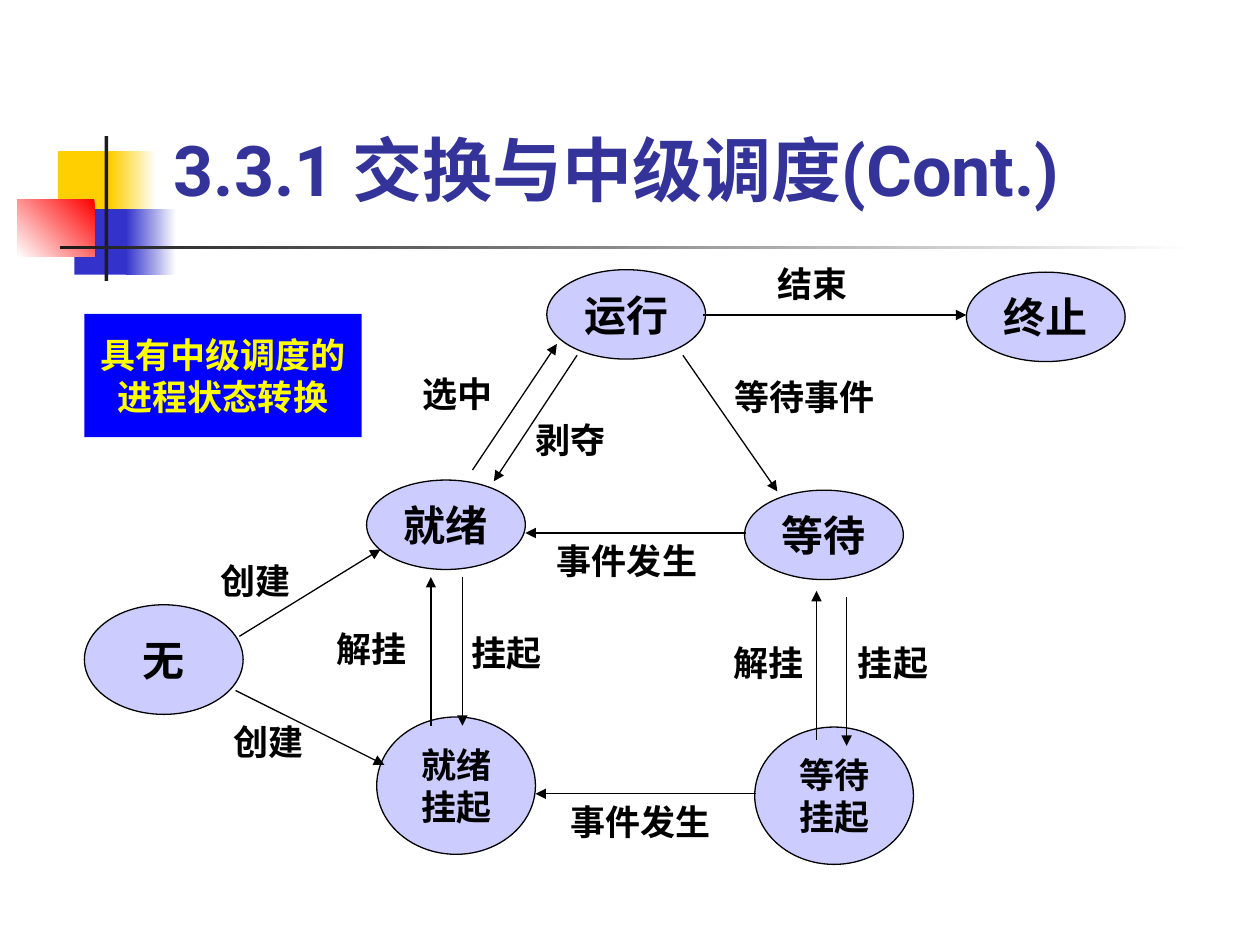
from lxml import etree
from pptx import Presentation
from pptx.dml.color import RGBColor
from pptx.enum.shapes import MSO_CONNECTOR, MSO_SHAPE
from pptx.enum.text import MSO_ANCHOR, MSO_AUTO_SIZE, PP_ALIGN
from pptx.oxml.ns import qn
from pptx.util import Inches, Pt

RECTANGLE, OVAL = MSO_SHAPE.RECTANGLE, MSO_SHAPE.OVAL
STRAIGHT = MSO_CONNECTOR.STRAIGHT
TOP, MIDDLE, BOTTOM = MSO_ANCHOR.TOP, MSO_ANCHOR.MIDDLE, MSO_ANCHOR.BOTTOM
LEFT, CENTER = PP_ALIGN.LEFT, PP_ALIGN.CENTER
NO_AUTOFIT = MSO_AUTO_SIZE.NONE

TITLE_FONT, BODY_FONT = "Roboto", "Times New Roman"
COLORS = {
    "white": "FFFFFF", "yellow": "FFCF01", "blue": "3333CC", "red": "FF0000",
    "rule": "1C1C1C", "title": "333399", "state": "CCCCFF", "text": "000000",
    "callout": "0000FF", "callout_text": "FFFF00",
}

ORNAMENT_PARTS = [
    (0.32, 0.12, 0.48, 0.52, ["yellow"], 0),
    (0.74, 0.12, 0.36, 0.52, ["white", "yellow"], 180),
    (0.45, 0.58, 0.46, 0.52, ["blue"], 0),
    (0.86, 0.58, 0.4, 0.52, ["white", "blue"], 180),
    (0, 0.5, 0.61, 0.46, ["red", "white"], 225),
    (0.69, 0, 0.03, 1.15, ["rule"], 0),
    (0.34, 0.87, 9, 0.03, ["white", "rule"], 180),
]

STATE_WIDTH = 1.26
STATES = [
    (["就绪"], 2.41, 1.81, 0.71, 24),
    (["等待"], 5.41, 1.89, 0.71, 24),
    (["运行"], 3.84, 0.14, 0.71, 24),
    (["终止"], 7.17, 0.16, 0.71, 24),
    (["无"], 0.17, 2.8, 0.87, 24),
    (["就绪", "挂起"], 2.49, 3.69, 1.09, 20),
    (["等待", "挂起"], 5.49, 3.77, 1.09, 20),
]

TRANSITIONS = [
    ("剥夺", (3.75, 1.32), (4.08, 0.82), (3.42, 1.82)),
    ("选中", (2.85, 0.96), (3.25, 1.73), (3.92, 0.73)),
    ("等待事件", (5.33, 0.98), (4.92, 0.82), (5.67, 1.9)),
    ("结束", (5.67, 0.08), (5.08, 0.5), (7.17, 0.5)),
    ("事件发生", (3.92, 2.28), (5.42, 2.23), (3.67, 2.23)),
    ("事件发生", (4.03, 4.35), (5.5, 4.3), (3.75, 4.3)),
    ("创建", (1.25, 2.44), (1.4, 3.05), (2.52, 2.36)),
    ("创建", (1.35, 3.72), (1.37, 3.48), (2.55, 4.07)),
    ("挂起", (3.24, 3.01), (3.17, 2.58), (3.17, 3.76)),
    ("解挂", (2.17, 2.98), (2.92, 3.76), (2.92, 2.58)),
    ("挂起", (6.31, 3.09), (6.22, 2.74), (6.22, 3.92)),
    ("解挂", (5.32, 3.09), (5.98, 3.87), (5.98, 2.69)),
]


def color(name):
    return RGBColor.from_string(COLORS[name])


def write_text(shape, lines, size, text_color="text", font=BODY_FONT,
               alignment=CENTER, anchor=MIDDLE, insets=(0, 0)):
    frame = shape.text_frame
    frame.word_wrap = True
    frame.auto_size = NO_AUTOFIT
    frame.vertical_anchor = anchor
    frame.margin_left = frame.margin_right = Inches(insets[0])
    frame.margin_top = frame.margin_bottom = Inches(insets[1])
    for index, line in enumerate(lines):
        paragraph = frame.add_paragraph() if index else frame.paragraphs[0]
        paragraph.alignment = alignment
        run = paragraph.add_run()
        run.text = line
        run.font.name = font
        run.font.size = Pt(size)
        run.font.bold = True
        run.font.color.rgb = color(text_color)


def add_filled_shape(slide, kind, box, fills, angle=0):
    shape = slide.shapes.add_shape(kind, *map(Inches, box))
    shape.shadow.inherit = False
    shape.line.fill.background()
    if len(fills) == 1:
        shape.fill.solid()
        shape.fill.fore_color.rgb = color(fills[0])
    else:
        shape.fill.gradient()
        shape.fill.gradient_angle = angle
        for stop, name in zip(shape.fill.gradient_stops, fills):
            stop.color.rgb = color(name)
    return shape


def add_arrow(slide, start, end):
    arrow = slide.shapes.add_connector(STRAIGHT, *map(Inches, start + end))
    arrow.line.width = Pt(0.75)
    arrow.line.color.rgb = color("text")
    etree.SubElement(arrow.line._get_or_add_ln(), qn("a:tailEnd"), type="triangle")
    etree.SubElement(arrow._element.spPr, qn("a:effectLst"))


def add_ornament(slide, left, top):
    for x, y, width, height, fills, angle in ORNAMENT_PARTS:
        box = (left + x, top + y, width, height)
        add_filled_shape(slide, RECTANGLE, box, fills, angle)


def add_title(slide, left, top, width, height):
    title = slide.shapes.title
    title.left, title.top = Inches(left), Inches(top)
    title.width, title.height = Inches(width), Inches(height)
    write_text(title, ["3.3.1 交换与中级调度(Cont.)"], 40, "title", TITLE_FONT,
               LEFT, BOTTOM)


def add_state_diagram(slide, left, top):
    for lines, x, y, height, size in STATES:
        box = (left + x, top + y, STATE_WIDTH, height)
        state = add_filled_shape(slide, OVAL, box, ["state"])
        state.line.width = Pt(0.75)
        state.line.color.rgb = color("text")
        write_text(state, lines, size, insets=(0.1, 0.05))
    for text, (x, y), start, end in TRANSITIONS:
        add_arrow(slide, (left + start[0], top + start[1]),
                  (left + end[0], top + end[1]))
        width = 0.3 * len(text) + 0.04
        label = slide.shapes.add_textbox(Inches(left + x), Inches(top + y),
                                         Inches(width), Inches(0.33))
        write_text(label, [text], 20, alignment=LEFT, anchor=TOP)


def add_callout(slide, box):
    callout = add_filled_shape(slide, RECTANGLE, box, ["callout"])
    write_text(callout, ["具有中级调度的进程状态转换"], 20, "callout_text",
               anchor=TOP, insets=(0.08, 0.16))


def main():
    presentation = Presentation()
    presentation.slide_width = Inches(10)
    presentation.slide_height = Inches(7.5)
    slide = presentation.slides.add_slide(presentation.slide_layouts[5])
    add_ornament(slide, 0.14, 1.08)
    add_title(slide, 1.38, 1, 7.64, 0.67)
    add_state_diagram(slide, 0.5, 2)
    add_callout(slide, (0.67, 2.49, 2.2, 0.98))
    presentation.save("out.pptx")


if __name__ == "__main__":
    main()
